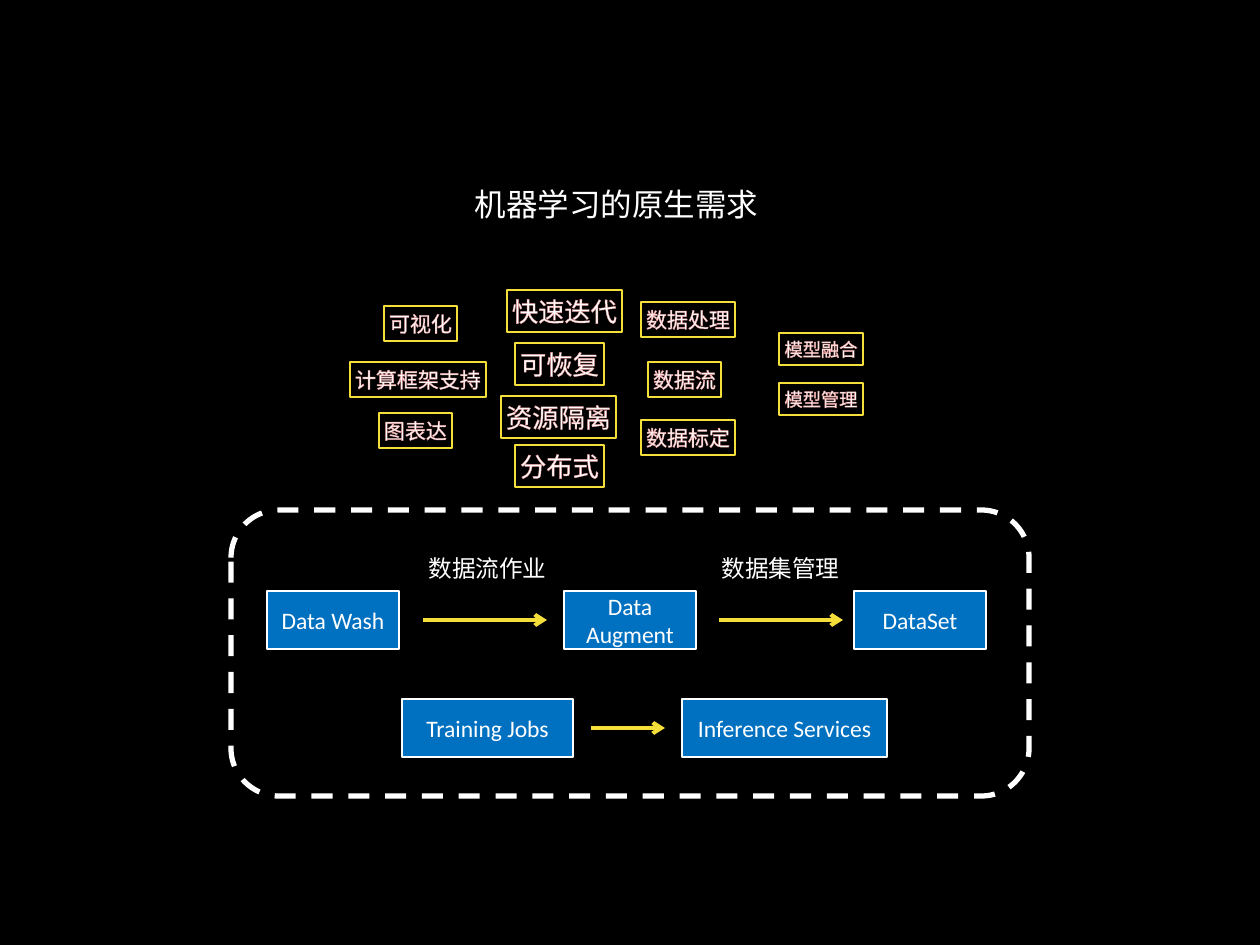
from dataclasses import dataclass

from pptx import Presentation
from pptx import util as u
from pptx.dml.color import RGBColor
from pptx.enum import dml, shapes, text
from pptx.oxml import parse_xml
from pptx.oxml.ns import nsdecls

PX = 914400 / 126  # EMU in one px
CJK, LATIN = "Noto Sans CJK SC", "Calibri"
WHITE, YELLOW, BLUE, PINK, BLACK = "FFFFFF", "F4DE3A", "0070C0", "E79B9B", "000000"
INSET = 5
TAG_HEIGHT = {10.5: 32, 12: 35, 15: 42}


@dataclass
class Tag:
    label: str
    x: int
    y: int
    size: float


@dataclass
class Step:
    label: str
    x: int
    y: int
    w: int


@dataclass
class Arrow:
    x1: int
    x2: int
    y: int


TAGS = [
    Tag("可视化", 384, 306, 12),
    Tag("计算框架支持", 350, 362, 12),
    Tag("图表达", 379, 413, 12),
    Tag("快速迭代", 507, 290, 15),
    Tag("可恢复", 515, 343, 15),
    Tag("资源隔离", 501, 396, 15),
    Tag("分布式", 515, 445, 15),
    Tag("数据处理", 641, 302, 12),
    Tag("数据流", 648, 362, 12),
    Tag("数据标定", 641, 420, 12),
    Tag("模型融合", 779, 333, 10.5),
    Tag("模型管理", 779, 383, 10.5),
]
STEPS = [
    Step("Data Wash", 267, 591, 132),
    Step("Data Augment", 564, 591, 132),
    Step("DataSet", 854, 591, 132),
    Step("Training Jobs", 402, 699, 171),
    Step("Inference Services", 682, 699, 205),
]
ARROWS = [Arrow(423, 547, 620), Arrow(719, 843, 620), Arrow(591, 665, 728)]
CAPTIONS = [("数据流作业", 423), ("数据集管理", 716)]


def px(n: float) -> int:
    return round(n * PX)


def rgb(value: str) -> RGBColor:
    return RGBColor.from_string(value)


def write(sp, label: str, size: float, font: str = CJK, inset: int = 0,
          wrap: bool = False, outline: str = "") -> None:
    tf = sp.text_frame
    form = {"word_wrap": wrap, "vertical_anchor": text.MSO_ANCHOR.MIDDLE}
    if not wrap:
        form["auto_size"] = text.MSO_AUTO_SIZE.SHAPE_TO_FIT_TEXT
    if inset:
        form |= {f"margin_{side}": px(inset) for side in ("left", "top", "right", "bottom")}
    for name, value in form.items():
        setattr(tf, name, value)
    p = tf.paragraphs[0]
    p.alignment = text.PP_ALIGN.CENTER
    r = p.add_run()
    r.text = label
    for name, value in {"size": u.Pt(size), "name": font}.items():
        setattr(r.font, name, value)
    r.font.color.rgb = rgb(WHITE)
    props = r.font._element
    props.find("{*}latin").addnext(parse_xml(f'<a:ea {nsdecls("a")} typeface="{font}"/>'))
    if outline:
        props.insert(0, parse_xml(
            f'<a:ln {nsdecls("a")} w="0"><a:solidFill><a:srgbClr val="{outline}"/>'
            "</a:solidFill></a:ln>"))


def add_box(s, x: int, y: int, w: int, h: int, line: str, width: float,
            fill: str = "", kind=shapes.MSO_SHAPE.RECTANGLE):
    sp = s.shapes.add_shape(kind, px(x), px(y), px(w), px(h))
    sp.shadow.inherit = False
    if fill:
        sp.fill.solid()
        sp.fill.fore_color.rgb = rgb(fill)
    else:
        sp.fill.background()
    sp.line.color.rgb = rgb(line)
    sp.line.width = u.Pt(width)
    return sp


def add_tag(s, tag: Tag) -> None:
    # One character is as wide as the type size
    w = round(len(tag.label) * tag.size * 126 / 72) + 2 * INSET
    sp = add_box(s, tag.x, tag.y, w, TAG_HEIGHT[tag.size], YELLOW, 0.75)
    write(sp, tag.label, tag.size, inset=INSET, outline=PINK)


def add_step(s, step: Step) -> None:
    sp = add_box(s, step.x, step.y, step.w, 58, WHITE, 1, BLUE)
    write(sp, step.label, 13.5, LATIN, wrap=True)


def add_arrow(s, arrow: Arrow) -> None:
    y = px(arrow.y)
    c = s.shapes.add_connector(shapes.MSO_CONNECTOR.STRAIGHT, px(arrow.x1), y, px(arrow.x2), y)
    c.line.color.rgb = rgb(YELLOW)
    c.line.width = u.Pt(2.25)
    c.line._get_or_add_ln().append(parse_xml(f'<a:tailEnd {nsdecls("a")} type="arrow"/>'))
    c._element.spPr.append(parse_xml(f'<a:effectLst {nsdecls("a")}/>'))


def add_caption(s, label: str, x: int) -> None:
    sp = s.shapes.add_textbox(px(x), px(549), px(129), px(38))
    write(sp, label, 13.5, inset=INSET)


def main() -> None:
    prs = Presentation()
    prs.slide_width, prs.slide_height = px(1260), px(945)
    s = prs.slides.add_slide(prs.slide_layouts[5])
    s.background.fill.solid()
    s.background.fill.fore_color.rgb = rgb(BLACK)

    # Title
    title = s.shapes.title
    place = {"left": 461, "top": 179, "width": 311, "height": 50}
    for name, value in place.items():
        setattr(title, name, px(value))
    write(title, "机器学习的原生需求", 18)

    # Needs
    for tag in TAGS:
        add_tag(s, tag)

    # Workflow
    for step in STEPS:
        add_step(s, step)
    for arrow in ARROWS:
        add_arrow(s, arrow)
    for label, x in CAPTIONS:
        add_caption(s, label, x)

    # Dashed frame around the workflow
    frame = add_box(s, 231, 510, 798, 286, WHITE, 3, kind=shapes.MSO_SHAPE.ROUNDED_RECTANGLE)
    frame.line.dash_style = dml.MSO_LINE.DASH

    prs.save("out.pptx")


if __name__ == "__main__":
    main()
